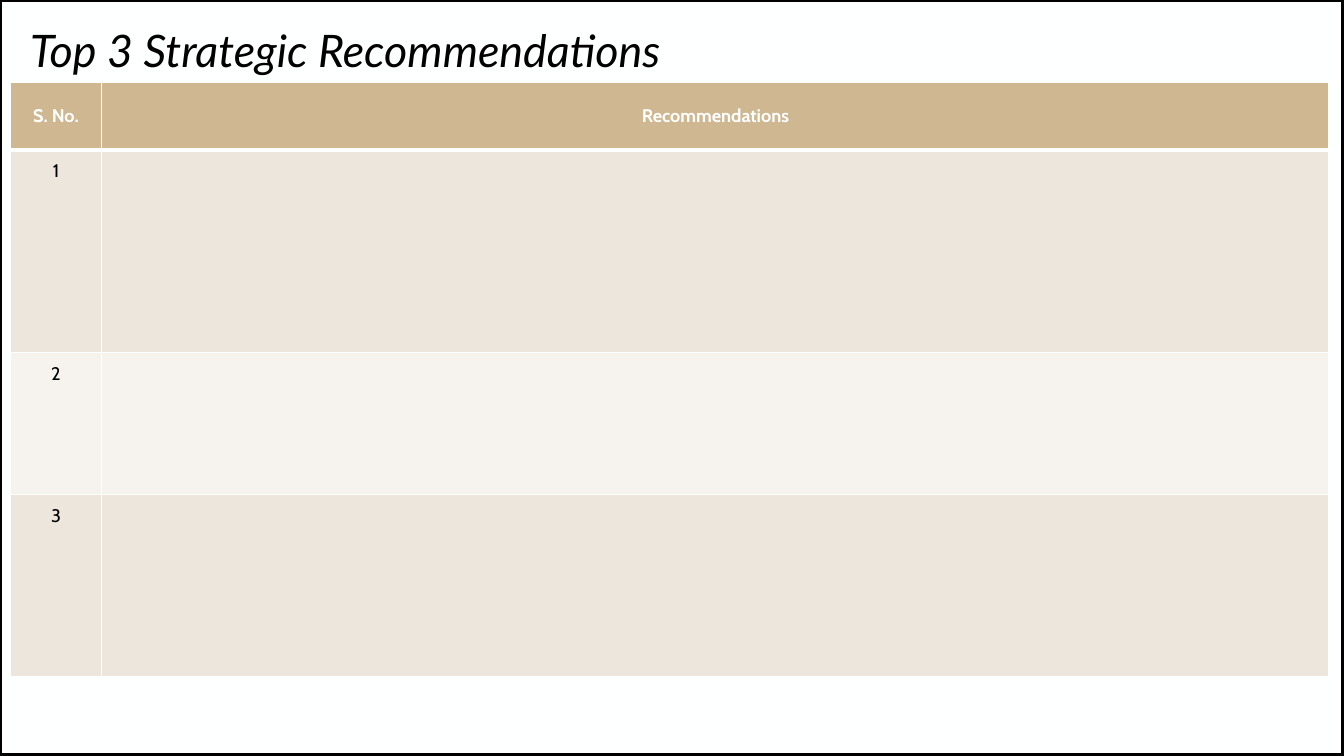
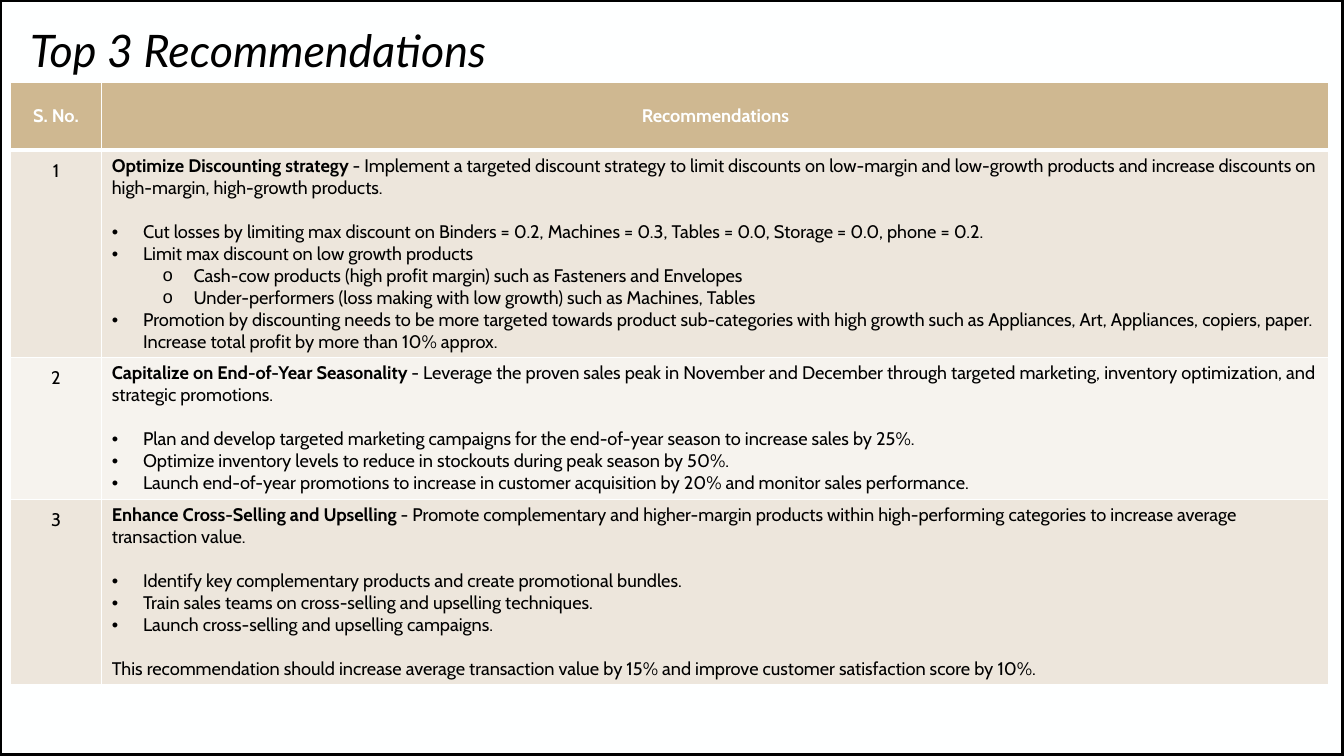
from lxml import etree
from pptx import Presentation, util as u
from pptx.dml.color import RGBColor
from pptx.enum import shapes, text
from pptx.oxml import ns

# Content
HEADER = ("S. No.", "Recommendations")
RECOMMENDATIONS = [
    {"lead": "Optimize Discounting strategy",
     "summary": " - Implement a targeted discount strategy to limit discounts on low-margin and "
                "low-growth products and increase discounts on high-margin, high-growth products.",
     "actions": [
         (0, "Cut losses by limiting max discount on Binders = 0.2, Machines = 0.3, "
             "Tables = 0.0, Storage = 0.0, phone = 0.2."),
         (0, "Limit max discount on low growth products"),
         (1, "Cash-cow products (high profit margin) such as Fasteners and Envelopes"),
         (1, "Under-performers (loss making with low growth) such as Machines, Tables"),
         (0, "Promotion by discounting needs to be more targeted towards product sub-categories "
             "with high growth such as Appliances, Art, Appliances, copiers, paper. "
             "Increase total profit by more than 10% approx."),
     ]},
    {"lead": "Capitalize on End-of-Year Seasonality",
     "summary": " - Leverage the proven sales peak in November and December through targeted "
                "marketing, inventory optimization, and strategic promotions.",
     "actions": [
         (0, "Plan and develop targeted marketing campaigns for the end-of-year season "
             "to increase sales by 25%."),
         (0, "Optimize inventory levels to reduce in stockouts during peak season by 50%."),
         (0, "Launch end-of-year promotions to increase in customer acquisition by 20% "
             "and monitor sales performance."),
     ]},
    {"lead": "Enhance Cross-Selling and Upselling",
     "summary": " - Promote complementary and higher-margin products within high-performing "
                "categories to increase average transaction value.",
     "actions": [
         (0, "Identify key complementary products and create promotional bundles."),
         (0, "Train sales teams on cross-selling and upselling techniques."),
         (0, "Launch cross-selling and upselling campaigns."),
     ],
     "outcome": "This recommendation should increase average transaction value by 15% "
                "and improve customer satisfaction score by 10%."},
]
SLIDES = [
    ("Top 3 Strategic Recommendations", [None] * 3),
    ("Top 3 Recommendations", RECOMMENDATIONS),
]

# Shared look, lengths in px (100 px to the inch)
PX = 9144
SLIDE_W, SLIDE_H = 1333, 750
TITLE_BOX = (20, 21, 979, 61)
TABLE_LEFT, TABLE_TOP = 10, 82
COLUMNS = (91, 1217)
ROWS = (67, 201, 141, 180)
INDENT, LEVEL_STEP = 31, 50
SECTION_GAP = 15.7  # points, one line of body text
BULLETS = (("•", "Arial"), ("o", "Courier New"))
PAPER, INK, GOLD = "FEFFFF", "000000", "CFB891"
BANDS = ("EDE6DC", "F6F3EE")
TITLE_FONT = {"name": "Lato", "size": u.Pt(32), "italic": True}
BODY_FONT = {"name": "Cabin", "size": u.Pt(13), "bold": False}
STRONG_FONT = {**BODY_FONT, "bold": True}


def px(*lengths):
    return [u.Emu(n * PX) for n in lengths]


def rgb(value):
    return RGBColor.from_string(value)


def add_run(paragraph, words, style, colour=INK):
    run = paragraph.add_run()
    run.text = words
    for key, value in style.items():
        setattr(run.font, key, value)
    run.font.color.rgb = rgb(colour)


def add_xml(parent, tag, **attributes):
    return etree.SubElement(parent, ns.qn(tag), attributes)


def add_bullet(paragraph, level):
    char, font = BULLETS[level]
    props = paragraph._p.get_or_add_pPr()
    props.set("marL", str((INDENT + level * LEVEL_STEP) * PX))
    props.set("indent", str(-INDENT * PX))
    add_xml(props, "a:buFont", typeface=font)
    add_xml(props, "a:buChar", char=char)
    paragraph.level = level


def style_cell(cell, colour, top=1, bottom=1):
    """Fill a cell and rule its four sides, widths in points."""
    cell.fill.solid()
    cell.fill.fore_color.rgb = rgb(colour)
    props = cell._tc.get_or_add_tcPr()
    for place, (side, width) in enumerate(
            (("L", 1), ("R", 1), ("T", top), ("B", bottom))):
        line = add_xml(props, f"a:ln{side}", w=str(u.Pt(width)))
        add_xml(add_xml(line, "a:solidFill"), "a:srgbClr", val=PAPER)
        props.insert(place, line)


def write_label(cell, words, style, colour, anchor):
    for side in ("left", "right", "top", "bottom"):
        setattr(cell, f"margin_{side}", px(10)[0])
    cell.vertical_anchor = anchor
    label = cell.text_frame.paragraphs[0]
    label.alignment = text.PP_ALIGN.CENTER
    add_run(label, words, style, colour)


def write_recommendation(cell, item):
    frame = cell.text_frame
    summary = frame.paragraphs[0]
    add_run(summary, item["lead"], STRONG_FONT)
    add_run(summary, item["summary"], BODY_FONT)
    for index, (level, words) in enumerate(item["actions"]):
        action = frame.add_paragraph()
        add_bullet(action, level)
        if index == 0:
            action.space_before = u.Pt(SECTION_GAP)
        add_run(action, words, BODY_FONT)
    if "outcome" in item:
        outcome = frame.add_paragraph()
        outcome.space_before = u.Pt(SECTION_GAP)
        add_run(outcome, item["outcome"], BODY_FONT)


def add_base(prs, heading):
    """Slide with its border and title."""
    slide = prs.slides.add_slide(prs.slide_layouts[6])
    border = slide.shapes.add_shape(
        shapes.MSO_SHAPE.RECTANGLE, 0, 0, prs.slide_width, prs.slide_height)
    border.shadow.inherit = False
    border.fill.background()
    border.line.color.rgb = rgb(INK)
    border.line.width = u.Pt(3.5)

    frame = slide.shapes.add_textbox(*px(*TITLE_BOX)).text_frame
    frame.word_wrap = True
    frame.vertical_anchor = text.MSO_ANCHOR.BOTTOM
    title = frame.paragraphs[0]
    title.line_spacing = 0.9
    add_run(title, heading, TITLE_FONT)
    return slide


def add_recommendations(slide, items):
    table = slide.shapes.add_table(
        len(ROWS), len(COLUMNS),
        *px(TABLE_LEFT, TABLE_TOP, sum(COLUMNS), sum(ROWS))).table
    table.first_row = table.horz_banding = False
    for column, width in zip(table.columns, px(*COLUMNS)):
        column.width = width
    for row, height in zip(table.rows, px(*ROWS)):
        row.height = height

    # Header row
    for col, words in enumerate(HEADER):
        cell = table.cell(0, col)
        style_cell(cell, GOLD, bottom=3)
        write_label(cell, words, STRONG_FONT, PAPER, text.MSO_ANCHOR.MIDDLE)

    # Numbered rows
    for number, item in enumerate(items, 1):
        number_cell, body_cell = table.cell(number, 0), table.cell(number, 1)
        for cell in (number_cell, body_cell):
            style_cell(cell, BANDS[(number - 1) % 2], top=3 if number == 1 else 1)
        write_label(number_cell, str(number), BODY_FONT, INK, text.MSO_ANCHOR.TOP)
        if item:
            write_recommendation(body_cell, item)


def main():
    prs = Presentation()
    prs.slide_width, prs.slide_height = px(SLIDE_W, SLIDE_H)
    backdrop = prs.slide_master.background.fill
    backdrop.solid()
    backdrop.fore_color.rgb = rgb(PAPER)
    for heading, items in SLIDES:
        add_recommendations(add_base(prs, heading), items)
    prs.save("out.pptx")


if __name__ == "__main__":
    main()
